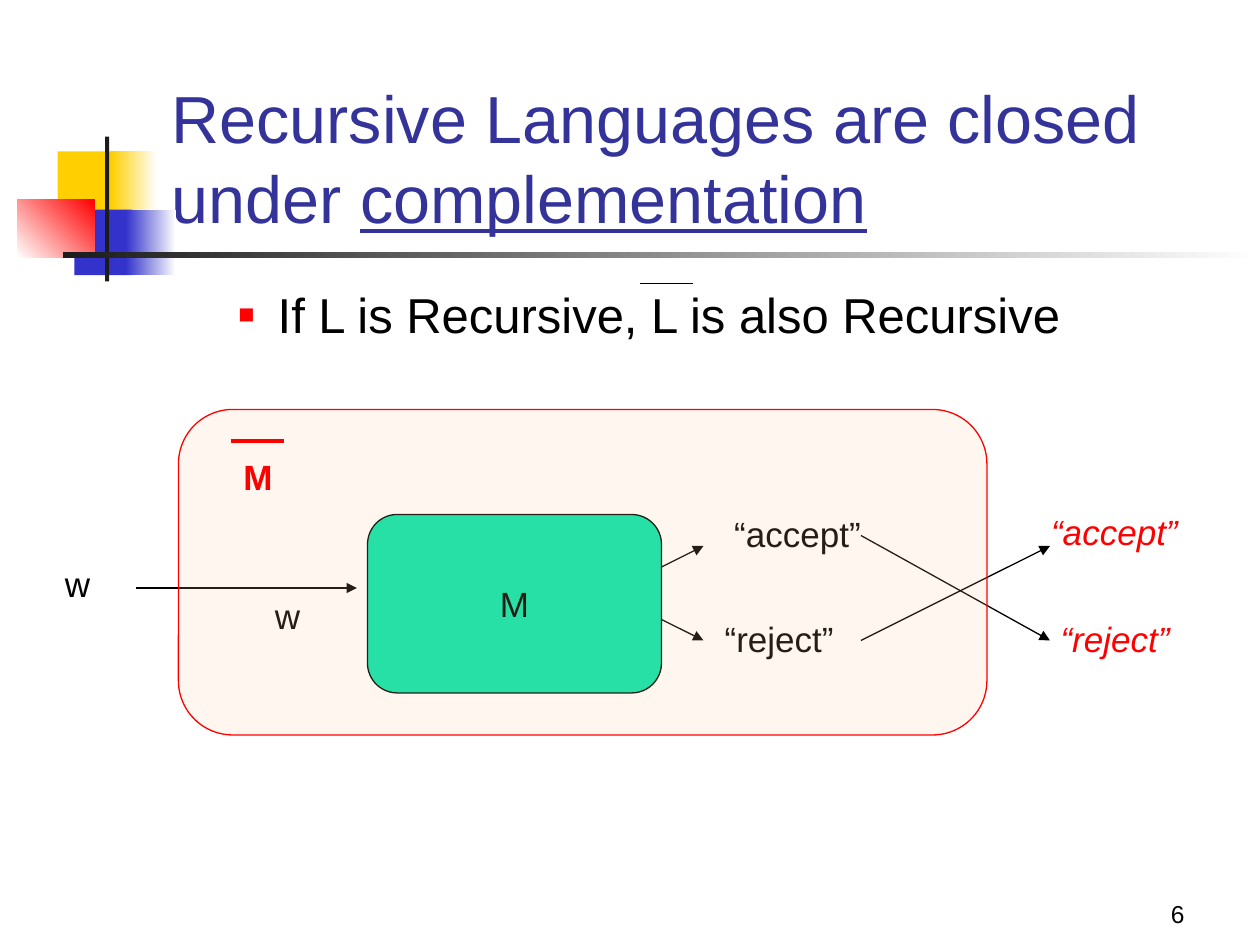
import pptx
import pptx.dml.color
import pptx.enum.shapes
import pptx.enum.text
import pptx.oxml
import pptx.oxml.ns
import pptx.util

Pt = pptx.util.Pt
SHAPES = pptx.enum.shapes.MSO_SHAPE
ALIGN = pptx.enum.text.PP_ALIGN
ANCHOR = pptx.enum.text.MSO_ANCHOR
AUTO_SIZE = pptx.enum.text.MSO_AUTO_SIZE

COLORS = {
    "black": "000000", "white": "FFFFFF", "charcoal": "1C1C1C",
    "yellow": "FFCF01", "blue": "3333CC", "red": "FF0000",
    "title": "333399", "machine": "00E4A8", "complement": "FFCC99",
}


def rgb(name):
    return pptx.dml.color.RGBColor.from_string(COLORS[name])


def add_xml(parent, tag, **attributes):
    child = pptx.oxml.parse_xml(f"<a:{tag} {pptx.oxml.ns.nsdecls('a')}/>")
    for key, value in attributes.items():
        child.set(key, value)
    parent.append(child)
    return child


class SlideBuilder:
    """Holds the style and the current slide; lengths are in points."""

    font = "Arial"
    label_size = 20
    line_width = 0.75

    def __init__(self, page):
        self.page = page

    def style(self, para, size, color, bold=None, italic=None):
        for span in para.runs:
            span.font.name = self.font
            span.font.size = Pt(size)
            span.font.color.rgb = rgb(color)
            span.font.bold = bold
            span.font.italic = italic

    def place(self, box, left, top, width, height):
        box.left, box.top = Pt(left), Pt(top)
        box.width, box.height = Pt(width), Pt(height)

    def title(self, plain, underlined, *area):
        box = self.page.shapes.title
        self.place(box, *area)
        frame = box.text_frame
        frame.auto_size = AUTO_SIZE.NONE
        frame.vertical_anchor = ANCHOR.BOTTOM
        para = frame.paragraphs[0]
        para.alignment = ALIGN.LEFT
        for text in (plain, underlined):
            para.add_run().text = text
        self.style(para, 38, "title")
        para.runs[1].font.underline = True

    def body(self, text, *area):
        box = self.page.placeholders[1]
        self.place(box, *area)
        frame = box.text_frame
        frame.auto_size = AUTO_SIZE.NONE
        frame.text = text
        para = frame.paragraphs[0]
        para.level = 1
        para.space_before = Pt(5.6)
        self.style(para, 28, "black")
        properties = para._p.get_or_add_pPr()
        properties.set("marL", str(Pt(58.5)))
        properties.set("indent", str(Pt(-22.5)))
        bullet_color = add_xml(properties, "buClr")
        add_xml(bullet_color, "srgbClr", val=COLORS["red"])
        add_xml(properties, "buSzPct", val="55000")
        add_xml(properties, "buFont", typeface=self.font)
        add_xml(properties, "buChar", char="■")

    def shape(self, kind, left, top, width, height):
        box = self.page.shapes.add_shape(kind, Pt(left), Pt(top), Pt(width), Pt(height))
        box.shadow.inherit = False
        return box

    def block(self, area, color, fade_to=None, angle=0):
        """Borderless rectangle, plain or fading into a second colour."""
        box = self.shape(SHAPES.RECTANGLE, *area)
        box.line.fill.background()
        if fade_to is None:
            box.fill.solid()
            box.fill.fore_color.rgb = rgb(color)
            return
        box.fill.gradient()
        box.fill.gradient_angle = angle
        for stop, name in zip(box.fill.gradient_stops, (color, fade_to)):
            stop.color.rgb = rgb(name)

    def rounded(self, area, fill, line, text="", opacity=100):
        box = self.shape(SHAPES.ROUNDED_RECTANGLE, *area)
        box.adjustments[0] = 0.167
        box.fill.solid()
        box.fill.fore_color.rgb = rgb(fill)
        box.line.color.rgb = rgb(line)
        box.line.width = Pt(self.line_width)
        if opacity < 100:
            color = box.fill._xPr.find(".//" + pptx.oxml.ns.qn("a:srgbClr"))
            add_xml(color, "alpha", val=str(opacity * 1000))
        if text:
            box.text_frame.text = text
            box.text_frame.vertical_anchor = ANCHOR.MIDDLE
            para = box.text_frame.paragraphs[0]
            para.alignment = ALIGN.CENTER
            self.style(para, self.label_size, "black")

    def label(self, text, left, top, width, color="black", **emphasis):
        box = self.page.shapes.add_textbox(Pt(left), Pt(top), Pt(width), Pt(31))
        frame = box.text_frame
        frame.word_wrap = False
        frame.auto_size = AUTO_SIZE.SHAPE_TO_FIT_TEXT
        frame.text = text
        self.style(frame.paragraphs[0], self.label_size, color, **emphasis)

    def page_number(self, text, left, top, width, height):
        box = self.page.shapes.add_textbox(Pt(left), Pt(top), Pt(width), Pt(height))
        frame = box.text_frame
        frame.word_wrap = True
        frame.vertical_anchor = ANCHOR.BOTTOM
        frame.text = text
        frame.paragraphs[0].alignment = ALIGN.RIGHT
        self.style(frame.paragraphs[0], 14, "black")

    def line(self, start, end, color="black", width=line_width, arrow=False):
        line = self.page.shapes.add_connector(
            pptx.enum.shapes.MSO_CONNECTOR.STRAIGHT,
            Pt(start[0]), Pt(start[1]), Pt(end[0]), Pt(end[1]))
        line.line.color.rgb = rgb(color)
        line.line.width = Pt(width)
        if arrow:
            add_xml(line.line._get_or_add_ln(), "tailEnd", type="triangle")
        add_xml(line._element.spPr, "effectLst")


def main():
    deck = pptx.Presentation()
    deck.slide_width, deck.slide_height = Pt(720), Pt(540)
    slide = SlideBuilder(deck.slides.add_slide(deck.slide_layouts[1]))

    # Corner ornament and rule
    slide.block((33, 86.5, 34.5, 37.5), "yellow")
    slide.block((63.5, 86.5, 26, 37.5), "yellow", "white")
    slide.block((42.5, 119.8, 33, 37.5), "blue")
    slide.block((72, 119.8, 28.5, 37.5), "blue", "white")
    slide.block((10, 113.8, 44, 33.2), "white", "red", angle=45)
    slide.block((60, 78, 2.4, 82.8), "charcoal")
    slide.block((36, 144, 684, 3.5), "charcoal", "white")

    slide.page_number("6", 534, 498, 150, 36)
    slide.title("Recursive Languages are closed under ", "complementation",
                90.7, 49, 613.5, 90)
    slide.body("If L is Recursive, L is also Recursive", 93, 159, 612, 324)

    # Inner machine with its input and outputs
    slide.rounded((210, 294, 168, 102), "machine", "black", "M")
    slide.label("w", 30, 318, 29)
    slide.label("“accept”", 412.5, 289.5, 89)
    slide.label("“reject”", 407, 349.5, 78)
    arrows = [
        ((78, 336), (204, 336)),
        ((378, 324), (402, 312)),
        ((378, 354), (402, 366)),
        ((492, 306), (600, 366)),
        ((492, 366), (600, 312)),
    ]
    for start, end in arrows:
        slide.line(start, end, arrow=True)

    # Swapped outputs and the enclosing complement machine
    slide.label("“reject”", 599, 349.5, 78, "red", italic=True)
    slide.label(" “accept”", 588, 288, 95, "red", italic=True)
    slide.label("w", 150, 336, 29)
    slide.rounded((102, 234, 462, 186), "complement", "red", opacity=15)
    slide.label("M", 132, 257, 31, "red", bold=True)
    slide.line((132, 252), (162, 252), "red", 1.75)
    slide.line((366, 162), (396, 162))

    deck.save("out.pptx")


if __name__ == "__main__":
    main()
